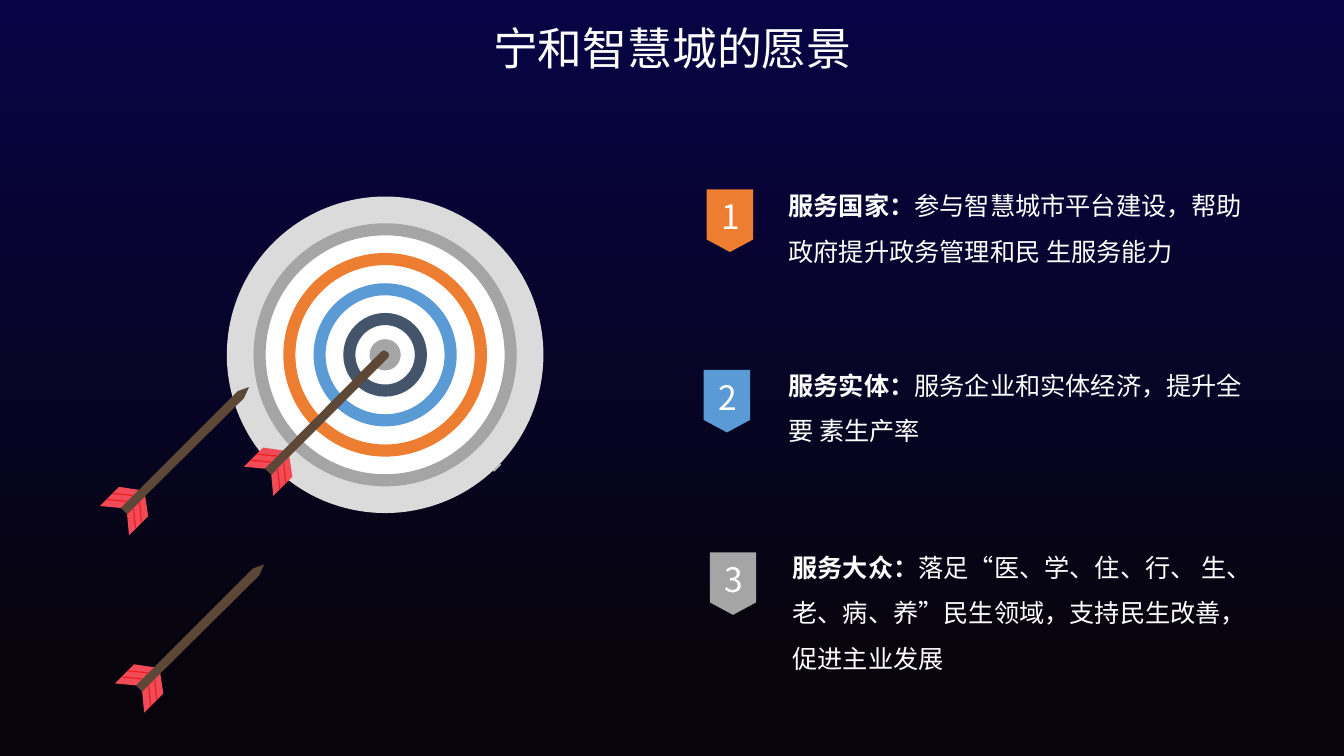
from lxml.etree import SubElement
from pptx import Presentation
from pptx.dml.color import RGBColor
from pptx.enum.shapes import MSO_SHAPE
from pptx.enum.text import MSO_ANCHOR, PP_ALIGN
from pptx.oxml.ns import qn
from pptx.util import Inches, Pt

FONT = "Noto Sans CJK SC"
COLOURS = {
    "sky": "070446",
    "night": "07040E",
    "white": "FFFFFF",
    "board": "DBDBDB",
    "nick": "C9C8C8",
    "grey": "A5A5A5",
    "orange": "ED7D31",
    "blue": "5B9BD5",
    "slate": "44546A",
    "feather": "F34A57",
    "stripe": "EA1E1D",
    "wood": "5D4837",
}
CENTRE = (3.82, 3.52)
RING_WIDTH = 0.12
RINGS = [(2.61, "grey"), (2.02, "orange"), (1.42, "blue"), (0.83, "slate")]

FEATHER = [(0.18, -0.18), (0.21, 0.02), (0.02, 0.21), (0, 0)]
STRIPES = [
    [(0.13, -0.12), (0.15, 0.08), (0.14, 0.09), (0.12, -0.11)],
    [(0.07, -0.06), (0.09, 0.14), (0.08, 0.15), (0.06, -0.05)],
]
NOCK = [(0, 0), (-0.06, -0.06)]
POINTED_TIP = [(1.1, -1.22), (1.21, -1.26), (1.16, -1.15)]
ROUND_TIP = [(1.09, -1.22), (1.11, -1.23), (1.13, -1.23), (1.16, -1.21),
             (1.17, -1.19), (1.16, -1.16), (1.15, -1.15)]
BOARD_NICK = [(4.96, 4.6), (4.97, 4.61), (4.9, 4.68), (4.89, 4.67)]

ITEMS = [
    ("1", "orange", (7.01, 1.88), (7.82, 1.74, 4.59, 0.86), "服务国家：",
     "参与智慧城市平台建设，帮助政府提升政务管理和民 生服务能力"),
    ("2", "blue", (6.98, 3.67), (7.82, 3.52, 4.53, 0.86), "服务实体：",
     "服务企业和实体经济，提升全要 素生产率"),
    ("3", "grey", (7.04, 5.48), (7.86, 5.33, 4.64, 1.31), "服务大众：",
     "落足“医、学、住、行、 生、老、病、养”民生领域，支持民生改善，促进主业发展"),
]


def colour(name):
    """Return the named colour."""
    return RGBColor.from_string(COLOURS[name])


def paint(shape, fill):
    """Give a shape a plain fill with no line or shadow."""
    shape.shadow.inherit = False
    shape.line.fill.background()
    if fill is None:
        shape.fill.background()
    else:
        shape.fill.solid()
        shape.fill.fore_color.rgb = colour(fill)


def add_preset(slide, kind, box, fill=None):
    """Add a preset shape at a box given in inches."""
    shape = slide.shapes.add_shape(kind, *map(Inches, box))
    paint(shape, fill)
    return shape


def add_disc(slide, diameter, fill, kind=MSO_SHAPE.OVAL):
    """Add a round shape centred on the target."""
    left, top = (middle - diameter / 2 for middle in CENTRE)
    return add_preset(slide, kind, (left, top, diameter, diameter), fill)


def add_outline(slide, points, fill, origin=(0, 0)):
    """Add a closed polygon whose points are relative to an origin."""
    corners = [(Inches(origin[0] + x), Inches(origin[1] + y)) for x, y in points]
    builder = slide.shapes.build_freeform(*corners[0])
    builder.add_line_segments(corners[1:], close=True)
    paint(builder.convert_to_shape(), fill)


def mirror(points):
    """Reflect points across the axis of an arrow."""
    return [(-0.06 - y, -0.06 - x) for x, y in points]


def add_arrow(slide, origin, tip):
    """Add an arrow with two striped feathers and a wooden shaft."""
    for side in (list, mirror):
        add_outline(slide, side(FEATHER), "feather", origin)
        for stripe in STRIPES:
            add_outline(slide, side(stripe), "stripe", origin)
    add_outline(slide, NOCK + tip, "wood", origin)


def add_target(slide):
    """Add the board with its rings and bullseye."""
    add_disc(slide, 3.14, "board")
    add_disc(slide, 2.5, "white")
    for diameter, fill in RINGS:
        ring = add_disc(slide, diameter, fill, MSO_SHAPE.DONUT)
        ring.adjustments[0] = RING_WIDTH / diameter
    add_disc(slide, 0.31, "grey")
    add_outline(slide, BOARD_NICK, "nick")


def style_paragraph(paragraph, size, align, spacing=1.0):
    """Set the alignment, spacing and white font of a paragraph."""
    paragraph.alignment = align
    paragraph.line_spacing = spacing
    font = paragraph.font
    font.size = Pt(size)
    font.color.rgb = colour("white")
    font.name = FONT
    defaults = paragraph._p.pPr.find(qn("a:defRPr"))
    SubElement(defaults, qn("a:ea")).set("typeface", FONT)


def add_title(slide, text):
    """Add the centred slide title."""
    box = slide.shapes.add_textbox(*map(Inches, (0.89, 0.16, 11.56, 0.7)))
    frame = box.text_frame
    frame.word_wrap = True
    frame.vertical_anchor = MSO_ANCHOR.MIDDLE
    frame.text = text
    style_paragraph(frame.paragraphs[0], 32, PP_ALIGN.CENTER, 0.9)


def add_item(slide, number, fill, corner, box, heading, detail):
    """Add a numbered tag and the statement beside it."""
    left, top = corner
    add_preset(slide, MSO_SHAPE.FLOWCHART_OFFPAGE_CONNECTOR,
               (left, top, 0.46, 0.62), fill)
    label = add_preset(slide, MSO_SHAPE.OVAL, (left - 0.03, top - 0.04, 0.53, 0.61))
    label.text_frame.word_wrap = False
    label.text_frame.vertical_anchor = MSO_ANCHOR.MIDDLE
    label.text_frame.text = number
    style_paragraph(label.text_frame.paragraphs[0], 24, PP_ALIGN.CENTER)

    frame = slide.shapes.add_textbox(*map(Inches, box)).text_frame
    frame.word_wrap = True
    frame.margin_left = frame.margin_right = 0
    frame.margin_top = frame.margin_bottom = 0
    paragraph = frame.paragraphs[0]
    for text, bold in ((heading, True), (detail, False)):
        run = paragraph.add_run()
        run.text = text
        run.font.bold = bold
    style_paragraph(paragraph, 18, PP_ALIGN.LEFT, 1.5)


def set_background(slide):
    """Fade the background from blue at the top to near black."""
    fill = slide.background.fill
    fill.gradient()
    fill.gradient_angle = 270
    for stop, (position, name) in zip(fill.gradient_stops, [(0, "sky"), (0.87, "night")]):
        stop.position = position
        stop.color.rgb = colour(name)


def main():
    """Build the vision slide and save it."""
    presentation = Presentation()
    presentation.slide_width = Inches(13.33)
    presentation.slide_height = Inches(7.5)
    slide = presentation.slides.add_slide(presentation.slide_layouts[6])
    set_background(slide)
    add_title(slide, "宁和智慧城的愿景")
    add_arrow(slide, (1.41, 6.86), POINTED_TIP)
    add_target(slide)
    add_arrow(slide, (2.69, 4.71), ROUND_TIP)
    add_arrow(slide, (1.26, 5.1), POINTED_TIP)
    for item in ITEMS:
        add_item(slide, *item)
    presentation.save("out.pptx")


if __name__ == "__main__":
    main()
